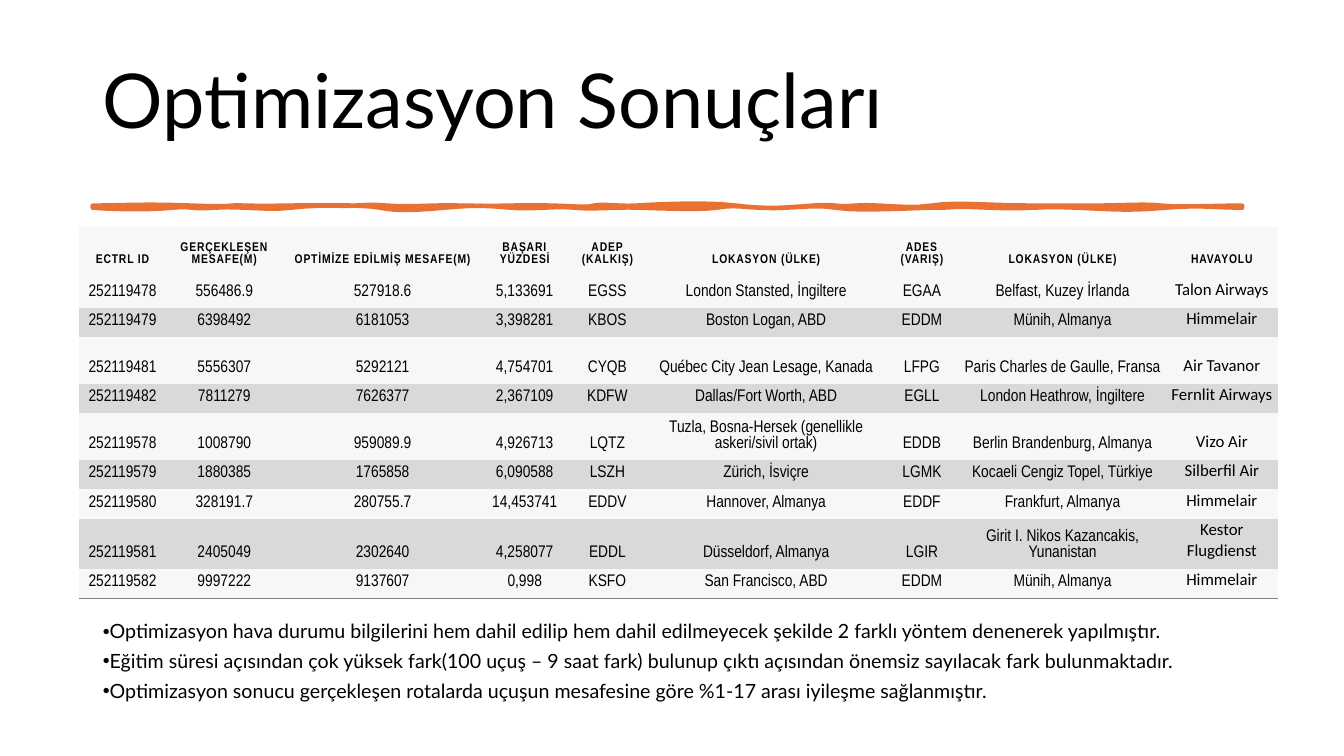
"""Build the slide of route optimisation results."""
from dataclasses import dataclass
from typing import Iterator, NamedTuple

from lxml.etree import SubElement
from pptx import Presentation
from pptx.dml.color import RGBColor as Rgb
from pptx.enum.text import MSO_ANCHOR as Anchor, MSO_AUTO_SIZE as AutoSize, PP_ALIGN as Align
from pptx.oxml import parse_xml
from pptx.oxml.ns import nsdecls, qn
from pptx.util import Emu, Pt

EMU_PER_PX = 9144
NO_GRID_STYLE = "{2D5ABB26-0587-4C30-8999-92F81FD0307C}"


@dataclass(frozen=True)
class Theme:
    ink: str = "000000"
    accent: str = "E97132"
    light_row: str = "F7F7F7"
    dark_row: str = "D9D9D9"
    rule: str = "808080"
    text_font: str = "Lato"
    table_font: str = "Arial Narrow"
    airline_font: str = "Calibri"
    title_size: int = 54
    bullet_size: int = 14
    header_size: int = 9
    cell_size: int = 12


@dataclass(frozen=True)
class Frame:
    left: int
    top: int
    width: int
    height: int


@dataclass(frozen=True)
class CellStyle:
    size: int
    fill: str
    side_inset: int
    bottom_inset: int
    bold: bool = False
    spacing: int = 0
    ruled: bool = False


class Flight(NamedTuple):
    ectrl_id: str
    flown: str
    optimized: str
    gain: str
    adep: str
    origin: str
    ades: str
    destination: str
    airline: str


class Curve(NamedTuple):
    x1: int
    y1: int
    x2: int
    y2: int
    x: int
    y: int


THEME = Theme()
TITLE_FRAME = Frame(92, 40, 1150, 126)
BULLET_FRAME = Frame(92, 612, 1214, 117)
TABLE_FRAME = Frame(78, 225, 1190, 351)
COLUMN_WIDTHS = (87, 115, 199, 83, 81, 234, 75, 204, 112)
ROW_HEIGHTS = (51, 27, 27, 46, 27, 46, 27, 27, 46, 27)

HEADERS = Flight("ECTRL ID", "GERÇEKLEŞEN MESAFE(M)", "OPTİMİZE EDİLMİŞ MESAFE(M)", "BAŞARI YÜZDESİ",
                 "ADEP (KALKIŞ)", "LOKASYON (ÜLKE)", "ADES (VARIŞ)", "LOKASYON (ÜLKE)", "HAVAYOLU")
FLIGHTS = (
    Flight("252119478", "556486.9", "527918.6", "5,133691", "EGSS", "London Stansted, İngiltere",
           "EGAA", "Belfast, Kuzey İrlanda", "Talon Airways"),
    Flight("252119479", "6398492", "6181053", "3,398281", "KBOS", "Boston Logan, ABD",
           "EDDM", "Münih, Almanya", "Himmelair"),
    Flight("252119481", "5556307", "5292121", "4,754701", "CYQB", "Québec City Jean Lesage, Kanada",
           "LFPG", "Paris Charles de Gaulle, Fransa", "Air Tavanor"),
    Flight("252119482", "7811279", "7626377", "2,367109", "KDFW", "Dallas/Fort Worth, ABD",
           "EGLL", "London Heathrow, İngiltere", "Fernlit Airways"),
    Flight("252119578", "1008790", "959089.9", "4,926713", "LQTZ",
           "Tuzla, Bosna-Hersek (genellikle askeri/sivil ortak)",
           "EDDB", "Berlin Brandenburg, Almanya", "Vizo Air"),
    Flight("252119579", "1880385", "1765858", "6,090588", "LSZH", "Zürich, İsviçre",
           "LGMK", "Kocaeli Cengiz Topel, Türkiye", "Silberfil Air"),
    Flight("252119580", "328191.7", "280755.7", "14,453741", "EDDV", "Hannover, Almanya",
           "EDDF", "Frankfurt, Almanya", "Himmelair"),
    Flight("252119581", "2405049", "2302640", "4,258077", "EDDL", "Düsseldorf, Almanya",
           "LGIR", "Girit I. Nikos Kazancakis, Yunanistan", "Kestor Flugdienst"),
    Flight("252119582", "9997222", "9137607", "0,998", "KSFO", "San Francisco, ABD",
           "EDDM", "Münih, Almanya", "Himmelair"),
)
BULLETS = (
    "Optimizasyon hava durumu bilgilerini hem dahil edilip hem dahil edilmeyecek şekilde "
    "2 farklı yöntem denenerek yapılmıştır.",
    "Eğitim süresi açısından çok yüksek fark(100 uçuş – 9 saat fark) bulunup çıktı açısından "
    "önemsiz sayılacak fark bulunmaktadır.",
    "Optimizasyon sonucu gerçekleşen rotalarda uçuşun mesafesine göre %1-17 arası iyileşme sağlanmıştır.",
)
STROKE_START = (92, 204)
STROKE_CURVES = (
    Curve(119, 204, 144, 202, 190, 204), Curve(237, 206, 220, 203, 244, 204),
    Curve(267, 205, 303, 203, 331, 204), Curve(360, 205, 359, 202, 384, 204),
    Curve(410, 206, 423, 203, 460, 204), Curve(498, 205, 514, 203, 548, 204),
    Curve(581, 205, 581, 206, 589, 204), Curve(598, 202, 615, 205, 631, 204),
    Curve(647, 203, 701, 200, 730, 204), Curve(759, 208, 781, 206, 806, 204),
    Curve(831, 202, 827, 206, 848, 204), Curve(868, 202, 901, 208, 924, 204),
    Curve(947, 200, 982, 204, 1023, 204), Curve(1063, 204, 1063, 204, 1087, 204),
    Curve(1112, 204, 1136, 202, 1152, 204), Curve(1168, 206, 1203, 204, 1232, 204),
    Curve(1232, 205, 1232, 205, 1232, 206), Curve(1205, 206, 1189, 203, 1156, 206),
    Curve(1122, 209, 1110, 208, 1068, 206), Curve(1027, 204, 1023, 208, 981, 206),
    Curve(939, 204, 952, 206, 928, 206), Curve(904, 206, 851, 210, 829, 206),
    Curve(806, 202, 782, 208, 753, 206), Curve(724, 204, 725, 204, 711, 206),
    Curve(698, 208, 661, 207, 635, 206), Curve(609, 205, 590, 208, 570, 206),
    Curve(551, 204, 528, 208, 506, 206), Curve(483, 204, 473, 203, 441, 206),
    Curve(409, 209, 390, 209, 377, 206), Curve(363, 203, 310, 203, 289, 206),
    Curve(268, 209, 235, 204, 213, 206), Curve(192, 208, 189, 204, 171, 206),
    Curve(154, 208, 114, 208, 92, 206),
)


def px(length: float) -> Emu:
    """Turn px into EMU."""
    return Emu(round(length * EMU_PER_PX))


def place(shape, frame: Frame) -> None:
    """Move and size a shape."""
    shape.left, shape.top = px(frame.left), px(frame.top)
    shape.width, shape.height = px(frame.width), px(frame.height)


def add_span(para, text: str, font: str, size: int, bold: bool = False):
    """Add one formatted run to a paragraph."""
    span = para.add_run()
    span.text = text
    span.font.name, span.font.size, span.font.bold = font, Pt(size), bold
    span.font.color.rgb = Rgb.from_string(THEME.ink)
    return span


def add_title(page) -> None:
    """Fill the title placeholder."""
    box = page.shapes.title
    place(box, TITLE_FRAME)
    box.text_frame.auto_size = AutoSize.NONE
    box.text_frame.vertical_anchor = Anchor.MIDDLE
    para = box.text_frame.paragraphs[0]
    para.alignment, para.line_spacing = Align.LEFT, 0.9
    add_span(para, "Optimizasyon Sonuçları", THEME.text_font, THEME.title_size)


def add_bullets(page) -> None:
    """Fill the body placeholder with the findings."""
    box = page.placeholders[1]
    place(box, BULLET_FRAME)
    frame = box.text_frame
    frame.auto_size, frame.vertical_anchor = AutoSize.NONE, Anchor.TOP
    for index, text in enumerate(BULLETS):
        para = frame.add_paragraph() if index else frame.paragraphs[0]
        para.line_spacing, para.space_before, para.space_after = 0.9, Pt(0), Pt(6)
        properties = para._p.get_or_add_pPr()
        properties.set("marL", "0")
        properties.set("indent", str(px(-25)))
        SubElement(properties, qn("a:buFont"), typeface="Arial")
        SubElement(properties, qn("a:buChar"), char="•")
        add_span(para, text, THEME.text_font, THEME.bullet_size)


def trace(steps: int = 6) -> Iterator[tuple[int, int]]:
    """Yield EMU points along the brush stroke."""
    x0, y0 = STROKE_START
    for curve in STROKE_CURVES:
        for step in range(1, steps + 1):
            t = step / steps
            a, b, c, d = (1 - t) ** 3, 3 * t * (1 - t) ** 2, 3 * t * t * (1 - t), t ** 3
            yield (px(a * x0 + b * curve.x1 + c * curve.x2 + d * curve.x),
                   px(a * y0 + b * curve.y1 + c * curve.y2 + d * curve.y))
        x0, y0 = curve.x, curve.y


def add_stroke(page) -> None:
    """Draw the brush stroke under the title."""
    builder = page.shapes.build_freeform(*map(px, STROKE_START))
    builder.add_line_segments(list(trace()), close=True)
    stroke = builder.convert_to_shape()
    stroke.shadow.inherit = False
    stroke.fill.solid()
    stroke.fill.fore_color.rgb = stroke.line.color.rgb = Rgb.from_string(THEME.accent)
    stroke.line.width = Pt(3.25)
    SubElement(stroke.line._get_or_add_ln(), qn("a:round"))


def fill_cell(cell, text: str, font: str, style: CellStyle) -> None:
    """Write and format one table cell."""
    cell.margin_left = cell.margin_top = cell.margin_right = px(style.side_inset)
    cell.margin_bottom = px(style.bottom_inset)
    cell.vertical_anchor = Anchor.BOTTOM
    cell.fill.solid()
    cell.fill.fore_color.rgb = Rgb.from_string(style.fill)
    para = cell.text_frame.paragraphs[0]
    para.alignment = Align.CENTER
    span = add_span(para, text, font, style.size, style.bold)
    span._r.get_or_add_rPr().set("spc", str(style.spacing))
    if style.ruled:
        cell._tc.get_or_add_tcPr().insert(0, parse_xml(
            f'<a:lnB {nsdecls("a")} w="{Pt(1)}"><a:solidFill><a:srgbClr val="{THEME.rule}"/></a:solidFill></a:lnB>'))


def add_flights(page) -> None:
    """Add the table of flights."""
    frame = TABLE_FRAME
    table = page.shapes.add_table(len(ROW_HEIGHTS), len(COLUMN_WIDTHS), px(frame.left), px(frame.top),
                                  px(frame.width), px(frame.height)).table
    table.first_row = table.horz_banding = False
    table._tbl.tblPr.find(qn("a:tableStyleId")).text = NO_GRID_STYLE
    for column, width in zip(table.columns, COLUMN_WIDTHS):
        column.width = px(width)
    for index, (row, flight) in enumerate(zip(table.rows, (HEADERS, *FLIGHTS))):
        row.height = px(ROW_HEIGHTS[index])
        style = CellStyle(THEME.header_size, THEME.light_row, 12, 12, True, 60)
        if index:
            fill = THEME.light_row if index % 2 else THEME.dark_row
            style = CellStyle(THEME.cell_size, fill, 1, 8, ruled=index == len(FLIGHTS))
        for name, cell, text in zip(Flight._fields, row.cells, flight):
            font = THEME.airline_font if index and name == "airline" else THEME.table_font
            fill_cell(cell, text, font, style)


def main() -> None:
    """Build and save the deck."""
    deck = Presentation()
    deck.slide_width, deck.slide_height = px(1333), px(750)
    page = deck.slides.add_slide(deck.slide_layouts[1])
    add_title(page)
    add_stroke(page)
    add_bullets(page)
    add_flights(page)
    deck.save("out.pptx")


if __name__ == "__main__":
    main()
